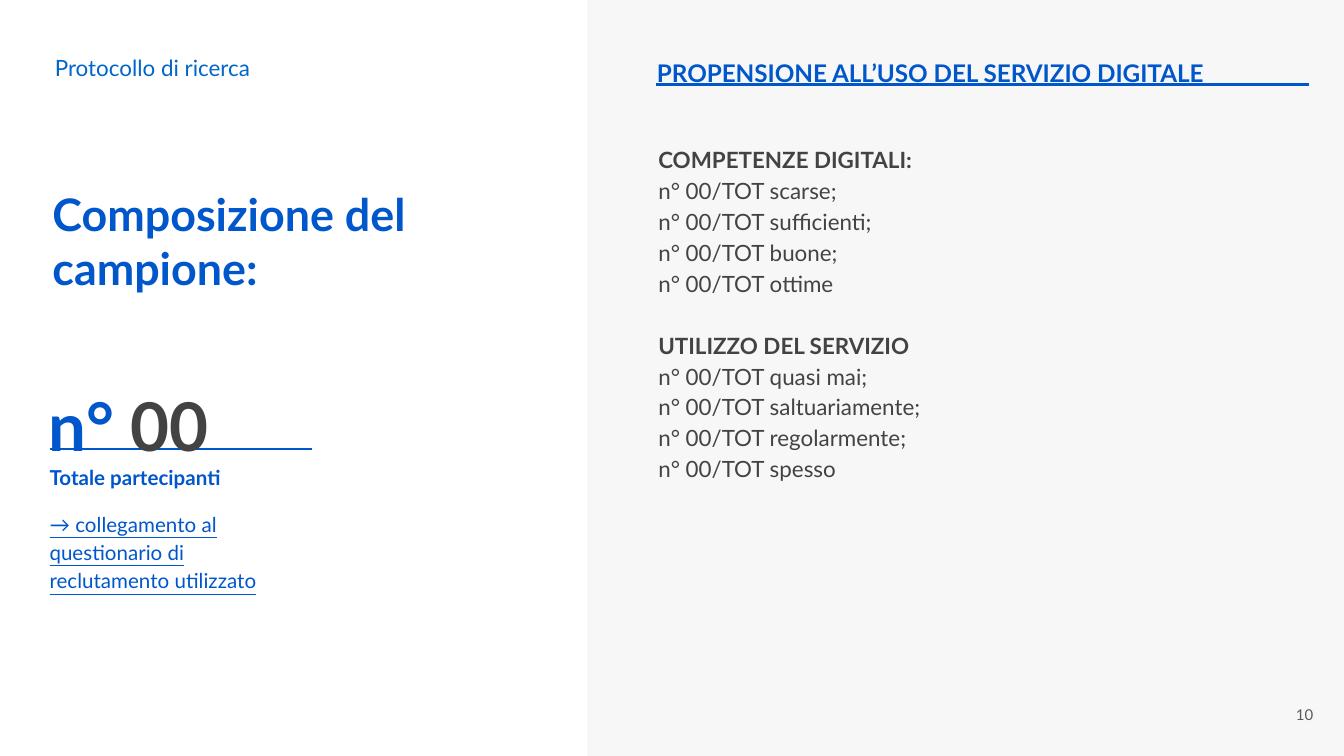
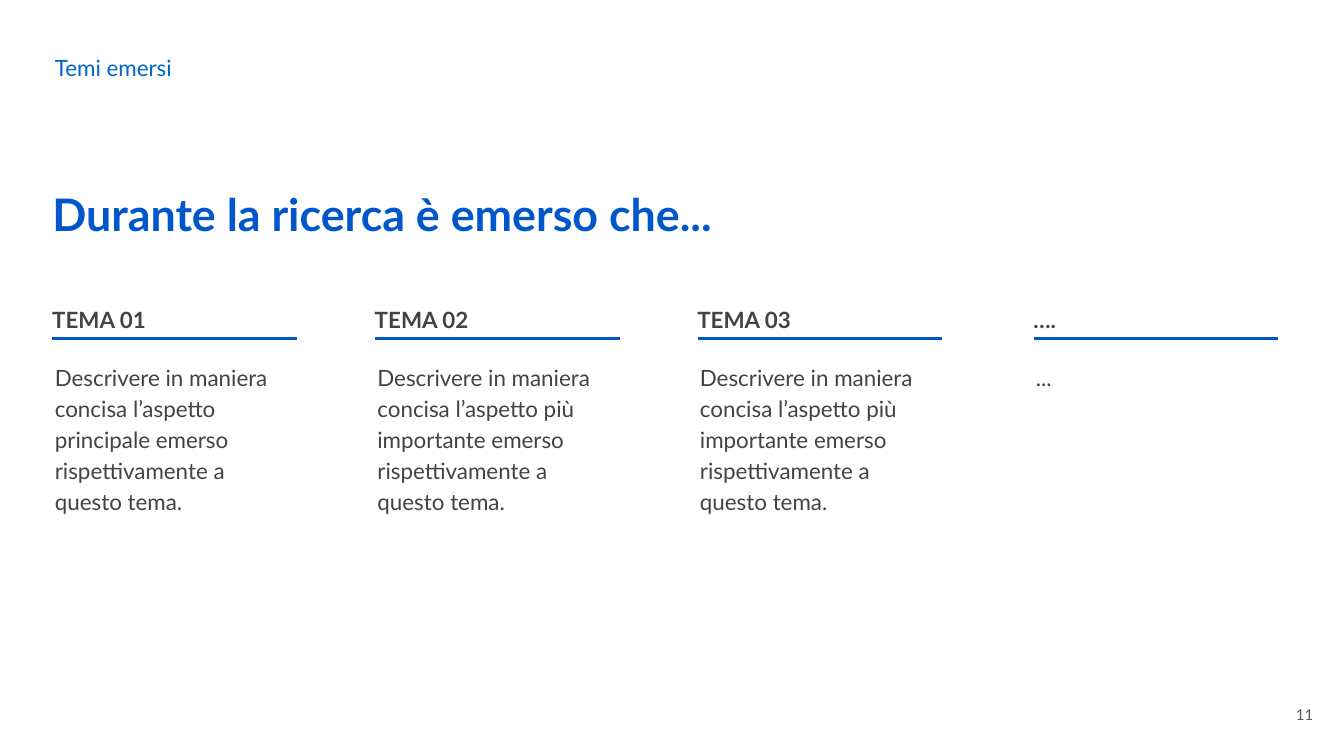
import copy

import pptx
import pptx.util
import pptx.dml.color
import pptx.enum.shapes
import pptx.enum.text
import pptx.oxml.ns
import lxml.etree

Inches = pptx.util.Inches
Pt = pptx.util.Pt
RGBColor = pptx.dml.color.RGBColor
PP_ALIGN = pptx.enum.text.PP_ALIGN
MSO_ANCHOR = pptx.enum.text.MSO_ANCHOR
qn = pptx.oxml.ns.qn

BLUE = RGBColor(0x00, 0x56, 0xCB)
SECTION_BLUE = RGBColor(0x00, 0x66, 0xCC)
DARK = RGBColor(0x43, 0x43, 0x43)
GREY = RGBColor(0x59, 0x59, 0x59)
PANEL_GREY = RGBColor(0xF7, 0xF7, 0xF7)


def put_text(slide, lines, left, top, width, height, size, color, bold=False,
             spacing=1.0, anchor=MSO_ANCHOR.TOP, align=PP_ALIGN.LEFT, title=False):
    place = [Inches(v) for v in (left, top, width, height)]
    if title:
        box = slide.shapes.title
        box.left, box.top, box.width, box.height = place
    else:
        box = slide.shapes.add_textbox(*place)
    frame = box.text_frame
    frame.text = lines
    frame.word_wrap = True
    frame.auto_size = pptx.enum.text.MSO_AUTO_SIZE.NONE
    frame.vertical_anchor = anchor
    frame.margin_left = frame.margin_right = Inches(0.1)
    frame.margin_top = frame.margin_bottom = Inches(0.1)
    for paragraph in frame.paragraphs:
        paragraph.alignment = align
        paragraph.line_spacing = spacing
        for run in paragraph.runs:
            run.font.name = "Lato"
            run.font.size = Pt(size)
            run.font.bold = bold
            run.font.color.rgb = color
        for line_break in paragraph._p.findall(qn("a:br")):
            line_break.append(copy.deepcopy(paragraph.runs[0]._r.find(qn("a:rPr"))))
    return frame


def put_rule(slide, left, top, length, weight):
    rule = slide.shapes.add_connector(
        pptx.enum.shapes.MSO_CONNECTOR.STRAIGHT,
        Inches(left), Inches(top), Inches(left + length), Inches(top))
    rule.line.color.rgb = BLUE
    rule.line.width = Pt(weight)
    lxml.etree.SubElement(rule._element.spPr, qn("a:effectLst"))


deck = pptx.Presentation()
deck.slide_width = Inches(10)
deck.slide_height = Inches(10 * 9 / 16)

sample = deck.slides.add_slide(deck.slide_layouts[5])
themes = deck.slides.add_slide(deck.slide_layouts[5])

panel = sample.shapes.add_shape(
    pptx.enum.shapes.MSO_SHAPE.RECTANGLE,
    Inches(4.37), Inches(-0.01), Inches(5.63), Inches(5.64))
panel.shadow.inherit = False
panel.fill.solid()
panel.fill.fore_color.rgb = PANEL_GREY
panel.line.fill.background()

for slide, number, section, heading, width, height in [
    (sample, "10", "Protocollo di ricerca", "Composizione del campione:", 3.54, 0.86),
    (themes, "11", "Temi emersi", "Durante la ricerca è emerso che...", 6.33, 0.5),
]:
    put_text(slide, heading, 0.29, 1.29, width, height, 24, BLUE, bold=True, title=True)
    put_text(slide, section, 0.31, 0.35, 4.24, 0.31, 12, SECTION_BLUE,
             anchor=MSO_ANCHOR.MIDDLE)
    put_text(slide, number, 9.27, 5.1, 0.6, 0.43, 8, GREY,
             anchor=MSO_ANCHOR.MIDDLE, align=PP_ALIGN.RIGHT)

put_text(sample, "Totale partecipanti", 0.27, 3.33, 2.05, 0.35, 11, BLUE,
         bold=True, spacing=1.15)
put_rule(sample, 0.37, 3.34, 1.95, 0.75)

total = put_text(sample, "n° ", 0.26, 2.67, 1.81, 0.57, 36, BLUE, bold=True, spacing=1.15)
count = total.paragraphs[0].add_run()
count.text = "00"
count.font.name = "Lato"
count.font.size = Pt(36)
count.font.bold = True
count.font.color.rgb = DARK

survey = put_text(sample, "→ collegamento al questionario di reclutamento utilizzato",
                  0.27, 3.68, 2.05, 0.35, 11, BLUE, spacing=1.15)
survey.paragraphs[0].runs[0].font.underline = True

put_text(sample, "PROPENSIONE ALL’USO DEL SERVIZIO DIGITALE",
         4.79, 0.33, 5.03, 0.31, 13, BLUE, bold=True)
put_rule(sample, 4.88, 0.63, 4.86, 1.5)

skills = ["COMPETENZE DIGITALI:", "n° 00/TOT scarse;", "n° 00/TOT sufficienti;",
          "n° 00/TOT buone;", "n° 00/TOT ottime"]
usage = ["UTILIZZO DEL SERVIZIO", "n° 00/TOT quasi mai;", "n° 00/TOT saltuariamente;",
         "n° 00/TOT regolarmente;"]
answers = put_text(sample, "\n".join(["\v".join(skills), "\v".join(usage), "n° 00/TOT spesso"]),
                   4.8, 0.96, 4.86, 2.92, 12, DARK, spacing=1.15).paragraphs
for group in answers[:2]:
    group.runs[0].font.bold = True
answers[1].space_before = Pt(16.5)

IMPORTANT = ("Descrivere in maniera concisa l’aspetto più importante emerso "
             "rispettivamente a questo tema.")
MAIN = IMPORTANT.replace("più importante", "principale")

for left, theme, description, width in [
    (0.29, "TEMA 01", MAIN, 1.8),
    (2.69, "TEMA 02", IMPORTANT, 1.96),
    (5.09, "TEMA 03", IMPORTANT, 1.96),
    (7.59, "….", "...", 1.8),
]:
    put_text(themes, theme, left, 2.18, 1.06, 0.31, 12, DARK, bold=True)
    put_rule(themes, left + 0.1, 2.52, 1.82, 1.5)
    put_text(themes, description, left + 0.02, 2.58, width, 2.03, 12, DARK, spacing=1.15)

deck.save("out.pptx")
